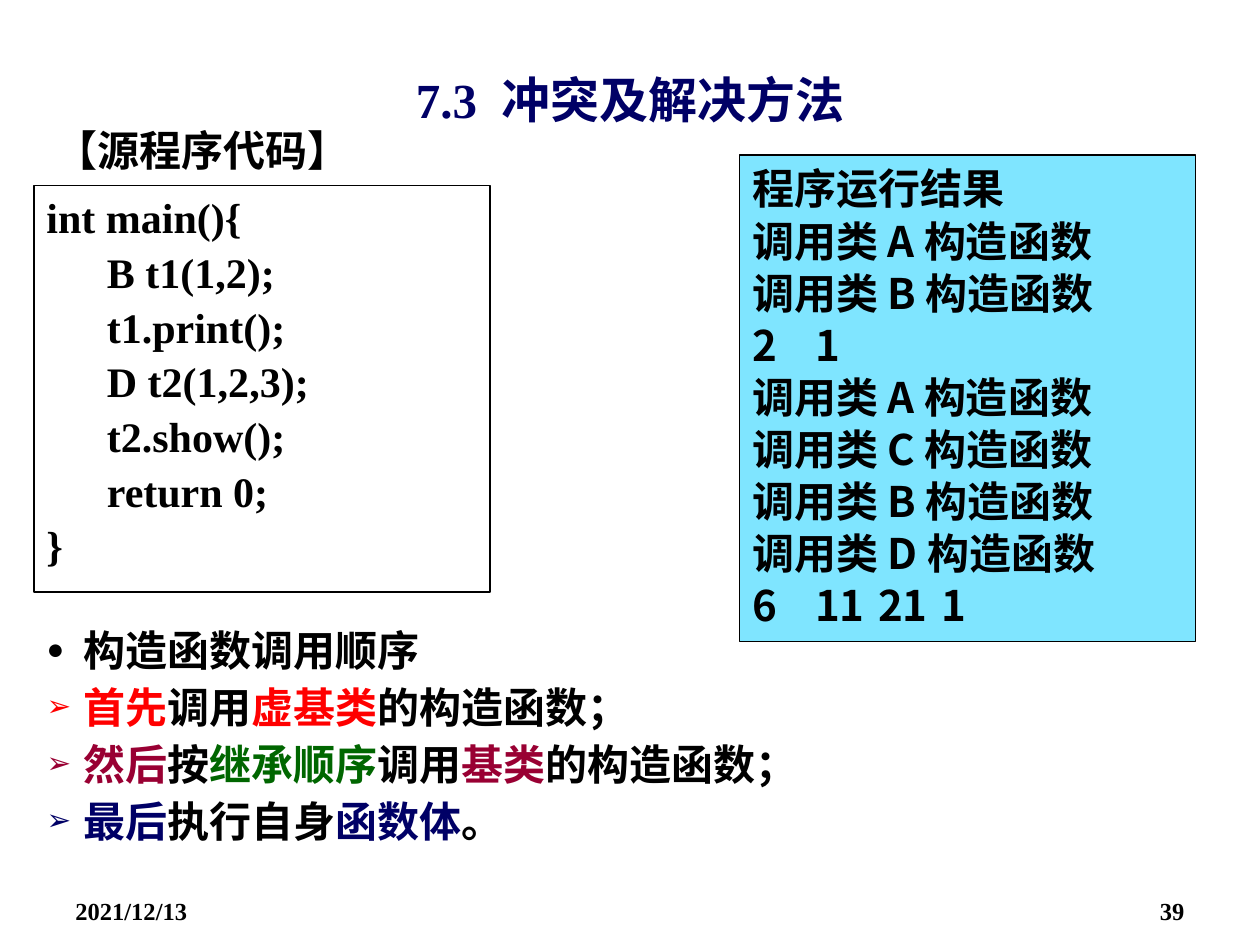
from lxml import etree
from pptx import Presentation
from pptx import util as u
from pptx.dml.color import RGBColor
from pptx.enum import shapes, text
from pptx.oxml.ns import qn

THEME = {
    "latin": "Times New Roman", "cjk": "Noto Sans CJK SC",
    "title": 28, "body": 24, "footer": 14,
    "black": "000000", "navy": "000066", "red": "FF0000",
    "wine": "990033", "green": "006600", "cyan": "00CCFF",
}
COLUMNS, ROWS = 100, 75

deck = Presentation()
deck.slide_width, deck.slide_height = u.Inches(10), u.Inches(7.5)
page = deck.slides.add_slide(deck.slide_layouts[3])


def grid(left, top, width, height):
    """Turn grid columns and rows into slide lengths."""
    column, row = deck.slide_width / COLUMNS, deck.slide_height / ROWS
    return [round(n) for n in (left * column, top * row, width * column, height * row)]


def write(box, lines, size="body", latin="latin", pitch=None, align=None, indent=0,
          bullets=None, tabs=(), inset_top=0.05, anchor=text.MSO_ANCHOR.TOP):
    """Fill a box; each line is (left margin, [(words, colour), ...])."""
    frame = box.text_frame
    frame.word_wrap = True
    frame.auto_size = text.MSO_AUTO_SIZE.NONE
    frame.vertical_anchor = anchor
    frame.margin_top = u.Inches(inset_top)
    for number, (margin, spans) in enumerate(lines):
        para = frame.add_paragraph() if number else frame.paragraphs[0]
        props = para._p.get_or_add_pPr()
        props.set("marL", str(u.Inches(margin)))
        props.set("indent", str(u.Inches(indent)))
        if bullets:
            etree.SubElement(props, qn("a:buSzPct"), val="70000")
            etree.SubElement(props, qn("a:buChar"), char=bullets[number])
        else:
            etree.SubElement(props, qn("a:buNone"))
        if tabs:
            stops = etree.SubElement(props, qn("a:tabLst"))
            for stop in tabs:
                etree.SubElement(stops, qn("a:tab"), pos=str(u.Inches(stop)), algn="l")
        para.alignment = align or text.PP_ALIGN.LEFT
        para.space_before = u.Pt(0)
        if pitch:
            para.line_spacing = u.Pt(pitch)
        for words, colour in spans:
            span = para.add_run()
            span.text = words
            span.font.name = THEME[latin]
            span.font.size = u.Pt(THEME[size])
            span.font.bold = True
            span.font.color.rgb = RGBColor.from_string(THEME[colour])
            east_asian = etree.Element(qn("a:ea"), typeface=THEME["cjk"])
            span._r.rPr.find(qn("a:latin")).addnext(east_asian)


# Title, heading and list
title, heading, rules = page.placeholders
placed = [(title, (5, 4.4, 90, 6.9)), (heading, (3.4, 9.1, 93, 6.3)),
          (rules, (2.7, 48.5, 94.5, 20.5))]
for box, area in placed:
    box.left, box.top, box.width, box.height = grid(*area)

write(title, [(0, [("7.3  冲突及解决方法", "navy")])], size="title",
      align=text.PP_ALIGN.CENTER, anchor=text.MSO_ANCHOR.MIDDLE)
write(heading, [(0, [("【源程序代码】", "black")])], pitch=31)

order = [
    [("构造函数调用顺序", "black")],
    [("首先", "red"), ("调用", "black"), ("虚基类", "red"), ("的构造函数；", "black")],
    [("然后", "wine"), ("按", "black"), ("继承顺序", "green"), ("调用", "black"),
     ("基类", "wine"), ("的构造函数；", "black")],
    [("最后", "navy"), ("执行自身", "black"), ("函数体", "navy"), ("。", "black")],
]
write(rules, [(0.29, spans) for spans in order], pitch=32.6, indent=-0.29, bullets="●➢➢➢")

# Code and its output
panels = []
for area in [(2.7, 14.7, 36.2, 32.3), (58.7, 12.3, 36.2, 38.6)]:
    panel = page.shapes.add_shape(shapes.MSO_SHAPE.RECTANGLE, *grid(*area))
    panel.shadow.inherit = False
    panel.fill.background()
    panel.line.color.rgb = RGBColor.from_string(THEME["black"])
    panel.line.width = u.Pt(0.75)
    panels.append(panel)
code_panel, output_panel = panels

output_panel.fill.solid()
output_panel.fill.fore_color.rgb = RGBColor.from_string(THEME["cyan"])
tint = output_panel._element.spPr.find(qn("a:solidFill")).find(qn("a:srgbClr"))
etree.SubElement(tint, qn("a:alpha"), val="50000")

statements = ["B t1(1,2);", "t1.print();", "D t2(1,2,3);", "t2.show();", "return 0;"]
code = [(0, "int main(){")] + [(0.48, line) for line in statements] + [(0, "}")]
write(code_panel, [(margin, [(line, "black")]) for margin, line in code],
      pitch=31.2, inset_top=0.02)

calls = {name: f"调用类 {name} 构造函数" for name in "ABCD"}
output = ["程序运行结果", calls["A"], calls["B"], "2\t1",
          *(calls[name] for name in "ACBD"), "6\t11\t21\t1"]
write(output_panel, [(0, [(line, "black")]) for line in output],
      latin="cjk", pitch=29.8, tabs=(0.43, 1.05, 1.67))

# Footer
for left, words, align in [(5, "2021/12/13", text.PP_ALIGN.LEFT),
                           (71.7, "39", text.PP_ALIGN.RIGHT)]:
    box = page.shapes.add_textbox(*grid(left, 70.6, 23.3, 2.9))
    write(box, [(0, [(words, "black")])], size="footer", align=align)

deck.save("out.pptx")
